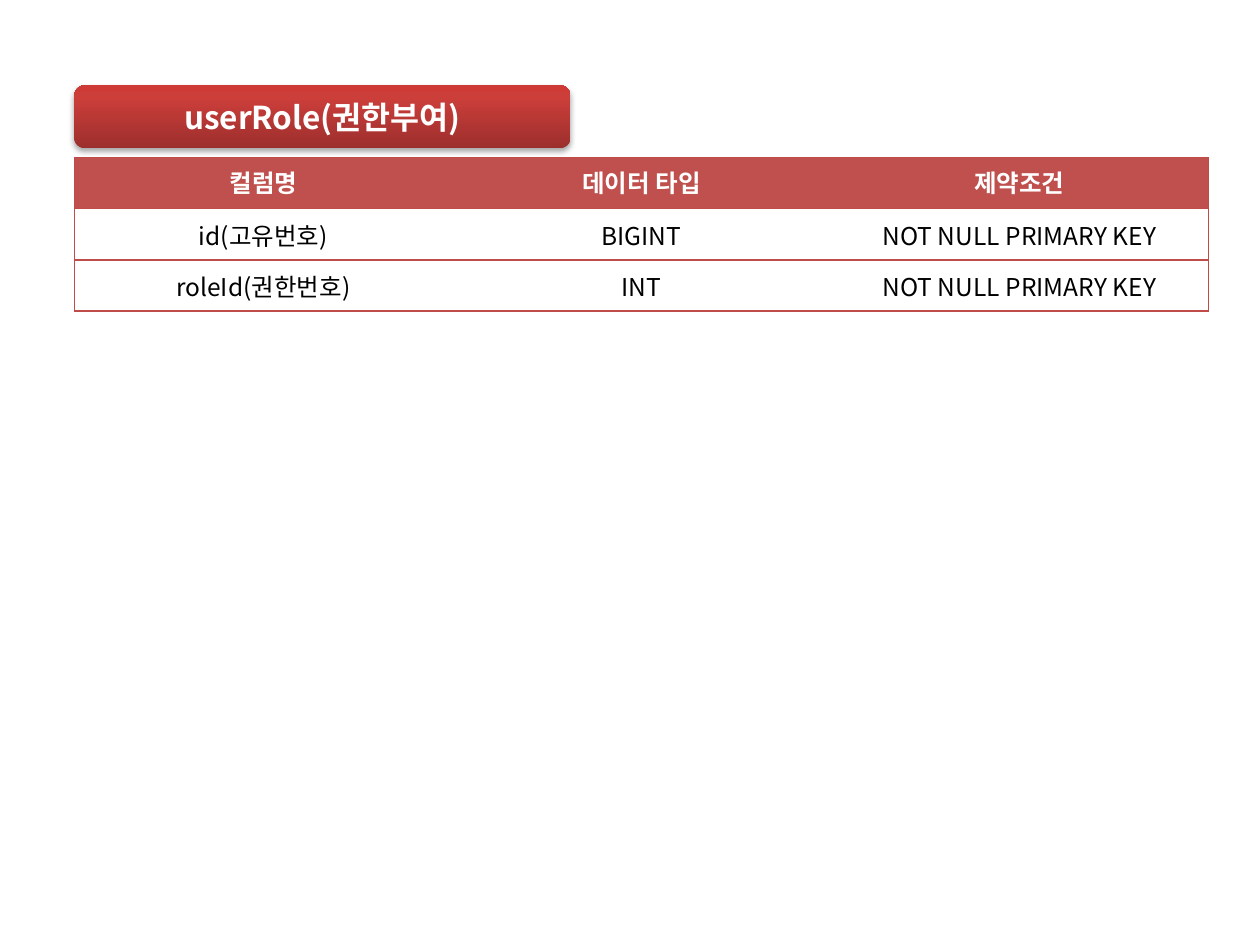
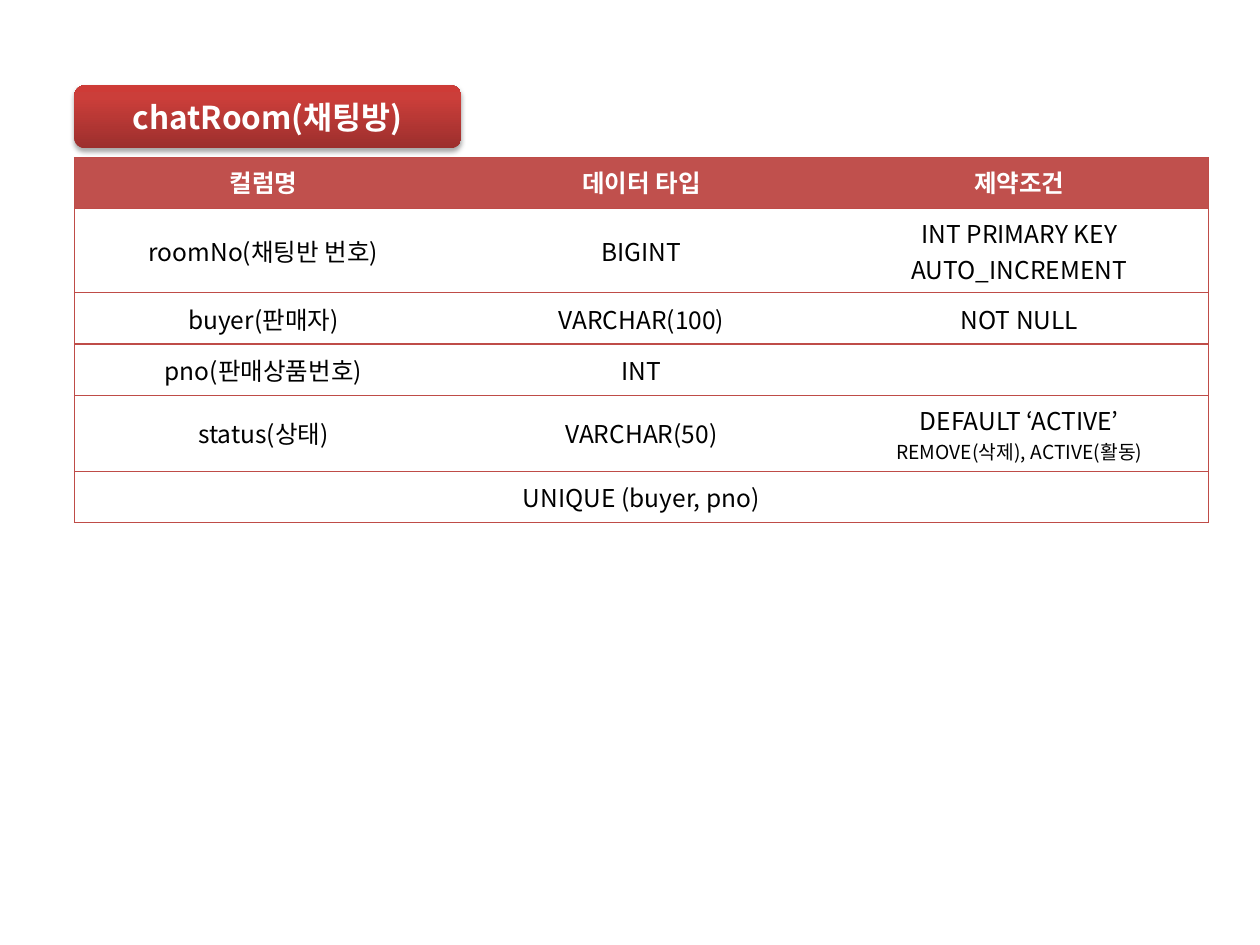
from lxml import etree
from pptx import Presentation
from pptx.dml.color import RGBColor
from pptx.enum import shapes, text
from pptx.oxml import parse_xml
from pptx.util import Cm, Pt

FONT = "Noto Sans CJK KR"
WHITE, BLACK, HEAD, EDGE = "FFFFFF", "000000", "C0504D", "BF4C48"
GLOSS = [(0, "9C2F2D"), (80, "CB3E3A"), (100, "CE3B37")]
LEFT, ROW, COL = Cm(1.5), Cm(1.03), Cm(7.62)
NS = "http://schemas.openxmlformats.org/drawingml/2006/main"

HEADS = ("컬럼명", "데이터 타입", "제약조건")
ROLES = [
    ("id(고유번호)", "BIGINT", "NOT NULL PRIMARY KEY"),
    ("roleId(권한번호)", "INT", "NOT NULL PRIMARY KEY"),
]
ROOMS = [
    ("roomNo(채팅반 번호)", "BIGINT", "INT PRIMARY KEY\nAUTO_INCREMENT"),
    ("buyer(판매자)", "VARCHAR(100)", "NOT NULL"),
    ("pno(판매상품번호)", "INT", ""),
    ("status(상태)", "VARCHAR(50)",
     "DEFAULT ‘ACTIVE’\nREMOVE(삭제), ACTIVE(활동)"),
    ("UNIQUE (buyer, pno)",),
]
SMALL = "REMOVE"


def paint(hue):
    """Turn a hex string into a colour."""
    return RGBColor.from_string(hue)


def write(par, words, size, hue, bold=False):
    """Put one centred run into a paragraph."""
    par.alignment = text.PP_ALIGN.CENTER
    run = par.add_run()
    run.text = words
    for name, value in {"name": FONT, "size": Pt(size), "bold": bold}.items():
        setattr(run.font, name, value)
    run.font.color.rgb = paint(hue)
    face = etree.SubElement(run.font._element, f"{{{NS}}}ea")
    face.set("typeface", FONT)


def gloss(shape):
    """Give a shape its vertical gradient and soft shadow."""
    stops = "".join(
        f'<a:gs pos="{pos * 1000}"><a:srgbClr val="{hue}"/></a:gs>'
        for pos, hue in GLOSS)
    fill = (f'<a:gradFill xmlns:a="{NS}" rotWithShape="1"><a:gsLst>{stops}'
            '</a:gsLst><a:lin ang="16200000" scaled="0"/></a:gradFill>')
    cast = (f'<a:effectLst xmlns:a="{NS}"><a:outerShdw blurRad="{Pt(3.1)}" '
            f'dist="{Pt(1.8)}" dir="5400000" rotWithShape="0">'
            f'<a:srgbClr val="{BLACK}"><a:alpha val="35000"/></a:srgbClr>'
            '</a:outerShdw></a:effectLst>')
    shape.line.fill.background()
    props = shape._element.spPr
    props.find(f"{{{NS}}}prstGeom").addnext(parse_xml(fill))
    props.append(parse_xml(cast))


def badge(slide, words, width):
    """Draw the rounded name plate above a table."""
    shape = slide.shapes.add_shape(
        shapes.MSO_SHAPE.ROUNDED_RECTANGLE, LEFT, Cm(1.72), width, Cm(1.27))
    gloss(shape)
    frame = shape.text_frame
    frame.vertical_anchor = text.MSO_ANCHOR.MIDDLE
    write(frame.paragraphs[0], words, 18, WHITE, True)


def edge(cell, sides):
    """Draw the named sides of a cell and clear the others."""
    props = cell._tc.get_or_add_tcPr()
    for spot, side in enumerate("LRTB"):
        ink = (f'<a:solidFill><a:srgbClr val="{EDGE}"/></a:solidFill>'
               if side in sides else "<a:noFill/>")
        props.insert(spot, parse_xml(
            f'<a:ln{side} xmlns:a="{NS}" w="{Pt(0.75)}">{ink}</a:ln{side}>'))


def fill(cell, words, head):
    """Write and colour one cell."""
    if head:
        cell.fill.solid()
        cell.fill.fore_color.rgb = paint(HEAD)
    else:
        cell.fill.background()
        cell.vertical_anchor = text.MSO_ANCHOR.MIDDLE
    frame = cell.text_frame
    for spot, line in enumerate(words.split("\n")):
        par = frame.add_paragraph() if spot else frame.paragraphs[0]
        size = 11 if line.startswith(SMALL) else 14
        write(par, line, size, WHITE if head else BLACK, head)


def grid(slide, rows, height):
    """Build a column table; a row with one entry spans the width."""
    rows = [HEADS, *rows]
    wide = len(HEADS)
    frame = slide.shapes.add_table(
        len(rows), wide, LEFT, Cm(3.18), COL * wide, ROW * len(rows))
    table = frame.table
    table.first_row = table.horz_banding = False
    for r, row in enumerate(rows):
        table.rows[r].height = ROW
        span = len(row) == 1
        if span:
            table.cell(r, 0).merge(table.cell(r, wide - 1))
        for c in range(wide):
            cell = table.cell(r, c)
            fill(cell, row[c] if c < len(row) else "", r == 0)
            left = "L" if c == 0 else ""
            right = "R" if span or c == wide - 1 else ""
            edge(cell, "TB" + left + right)
    frame.height = height


def main():
    """Build one slide for each database table."""
    deck = Presentation()
    deck.slide_width, deck.slide_height = Cm(25.4), Cm(19.05)
    for name, width, rows, height in (
            ("userRole(권한부여)", Cm(10), ROLES, Cm(3.1)),
            ("chatRoom(채팅방)", Cm(7.8), ROOMS, Cm(6.88))):
        slide = deck.slides.add_slide(deck.slide_layouts[6])
        grid(slide, rows, height)
        badge(slide, name, width)
    deck.save("out.pptx")


main()
